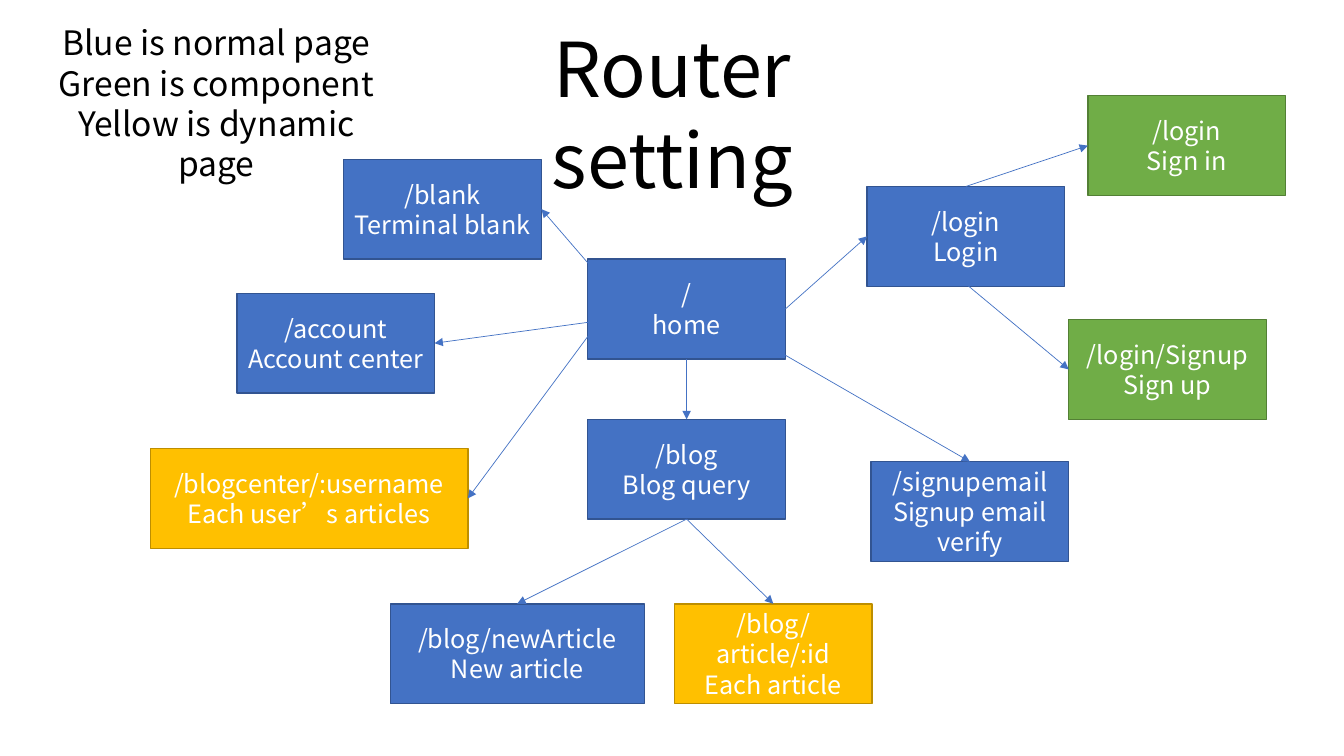
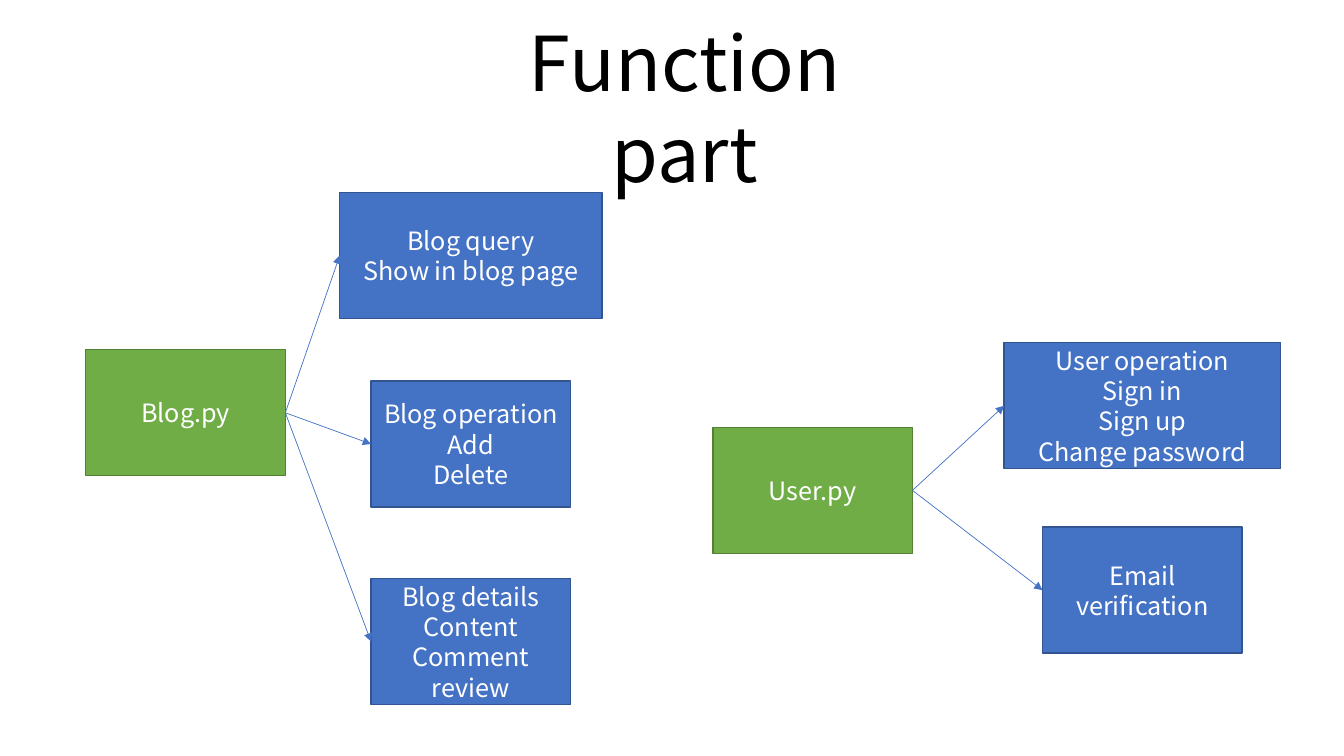
from dataclasses import dataclass

from lxml.etree import SubElement
from pptx import Presentation
from pptx.dml.color import RGBColor
from pptx.enum.shapes import MSO_CONNECTOR as Connector, MSO_SHAPE as Preset
from pptx.enum.text import MSO_ANCHOR as Anchor, PP_ALIGN as Align
from pptx.oxml.ns import qn
from pptx.util import Inches, Pt

TOP, LEFT, BOTTOM, RIGHT = range(4)


@dataclass(frozen=True)
class Theme:
    font: str = "Noto Sans CJK SC"
    title_size: int = 54
    legend_size: int = 24
    box_size: int = 18
    line_factor: float = 1.2
    text: str = "000000"
    box_text: str = "FFFFFF"
    arrow: str = "4472C4"
    page: tuple = ("4472C4", "325491")
    component: tuple = ("70AD47", "538035")
    dynamic: tuple = ("FFC000", "BD8E00")


class Diagram:
    def __init__(self, presentation, theme, box_width, box_height):
        self.theme = theme
        self.box_width = box_width
        self.box_height = box_height
        self.slide = presentation.slides.add_slide(presentation.slide_layouts[6])

    def set_text(self, shape, text, size, color):
        frame = shape.text_frame
        frame.word_wrap = True
        frame.text = text
        for paragraph in frame.paragraphs:
            paragraph.alignment = Align.CENTER
            paragraph.line_spacing = Pt(size * self.theme.line_factor)
            paragraph.font.name = self.theme.font
            paragraph.font.size = Pt(size)
            paragraph.font.color.rgb = RGBColor.from_string(color)

    def label(self, text, left, top, width, height, size):
        shape = self.slide.shapes.add_textbox(
            Inches(left), Inches(top), Inches(width), Inches(height)
        )
        self.set_text(shape, text, size, self.theme.text)

    def title(self, text, left, top, width):
        self.label(text, left, top, width, 1.01, self.theme.title_size)

    def box(self, text, left, top, colors=Theme.page, width=None):
        shape = self.slide.shapes.add_shape(
            Preset.RECTANGLE,
            Inches(left),
            Inches(top),
            Inches(width or self.box_width),
            Inches(self.box_height),
        )
        fill, outline = colors
        shape.shadow.inherit = False
        shape.fill.solid()
        shape.fill.fore_color.rgb = RGBColor.from_string(fill)
        shape.line.color.rgb = RGBColor.from_string(outline)
        shape.line.width = Pt(1)
        shape.text_frame.vertical_anchor = Anchor.MIDDLE
        self.set_text(shape, text, self.theme.box_size, self.theme.box_text)
        return shape

    def arrow(self, source, target, target_side, source_side=RIGHT, start=None):
        left, top = start or (0, 0)
        connector = self.slide.shapes.add_connector(
            Connector.STRAIGHT, Inches(left), Inches(top), Inches(left), Inches(top)
        )
        if start is None:
            connector.begin_connect(source, source_side)
        connector.end_connect(target, target_side)
        connector.line.color.rgb = RGBColor.from_string(self.theme.arrow)
        connector.line.width = Pt(0.5)
        properties = connector._element.spPr
        SubElement(properties.find(qn("a:ln")), qn("a:tailEnd"), type="triangle")
        SubElement(properties, qn("a:effectLst"))


def build_router(presentation, theme):
    router = Diagram(presentation, theme, 1.96, 0.99)
    router.title("Router setting", 4.28, 0.17, 4.78)
    router.label(
        "Blue is normal page\nGreen is component\nYellow is dynamic page",
        0.36, 0.17, 3.57, 1.31, theme.legend_size,
    )
    home = router.box("/\nhome", 5.83, 2.57)
    sign_in = router.box("/login\nSign in", 10.79, 0.95, theme.component)
    verify = router.box("/signupemail\nSignup email verify", 8.64, 4.58)
    login = router.box("/login\nLogin", 8.6, 1.85)
    sign_up = router.box("/login/Signup\nSign up", 10.6, 3.17, theme.component)
    new_article = router.box("/blog/newArticle\nNew article", 3.87, 5.99, width=2.52)
    article = router.box("/blog/article/:id\nEach article", 6.69, 5.99, theme.dynamic)
    blog = router.box("/blog\nBlog query", 5.83, 4.16)
    blank = router.box("/blank\nTerminal blank", 3.41, 1.58)
    account = router.box("/account\nAccount center", 2.35, 2.91)
    user_articles = router.box(
        "/blogcenter/:username\nEach user’s articles", 1.49, 4.45, theme.dynamic, 3.15
    )

    router.arrow(home, login, LEFT)
    router.arrow(login, sign_in, LEFT, TOP)
    router.arrow(login, sign_up, LEFT, start=(9.5, 2.75))
    router.arrow(home, verify, TOP, start=(7.54, 3.38))
    router.arrow(home, blog, TOP, BOTTOM)
    for page in (new_article, article):
        router.arrow(blog, page, TOP, BOTTOM)
    router.arrow(home, blank, RIGHT, start=(6.03, 2.84))
    router.arrow(home, account, RIGHT, start=(6.33, 3.13))
    router.arrow(home, user_articles, RIGHT, start=(5.91, 3.23))


def build_functions(presentation, theme):
    functions = Diagram(presentation, theme, 1.98, 1.25)
    functions.title("Function part", 4.53, 0.11, 4.52)
    files_with_tasks = (
        (("Blog.py", 0.85, 3.47), (
            ("Blog query\nShow in blog page", 3.37, 1.91, 2.6),
            ("Blog operation\nAdd\nDelete", 3.68, 3.78, None),
            ("Blog details\nContent\nComment\nreview", 3.68, 5.74, None),
        )),
        (("User.py", 7.07, 4.24), (
            ("User operation\nSign in\nSign up\nChange password", 9.96, 3.4, 2.74),
            ("Email verification", 10.34, 5.23, None),
        )),
    )
    for (name, left, top), tasks in files_with_tasks:
        source = functions.box(name, left, top, theme.component)
        for text, task_left, task_top, width in tasks:
            task = functions.box(text, task_left, task_top, width=width)
            functions.arrow(source, task, LEFT)


def main():
    presentation = Presentation()
    presentation.slide_width = Inches(13.33)
    presentation.slide_height = Inches(7.5)
    theme = Theme()
    build_router(presentation, theme)
    build_functions(presentation, theme)
    presentation.save("out.pptx")


if __name__ == "__main__":
    main()
